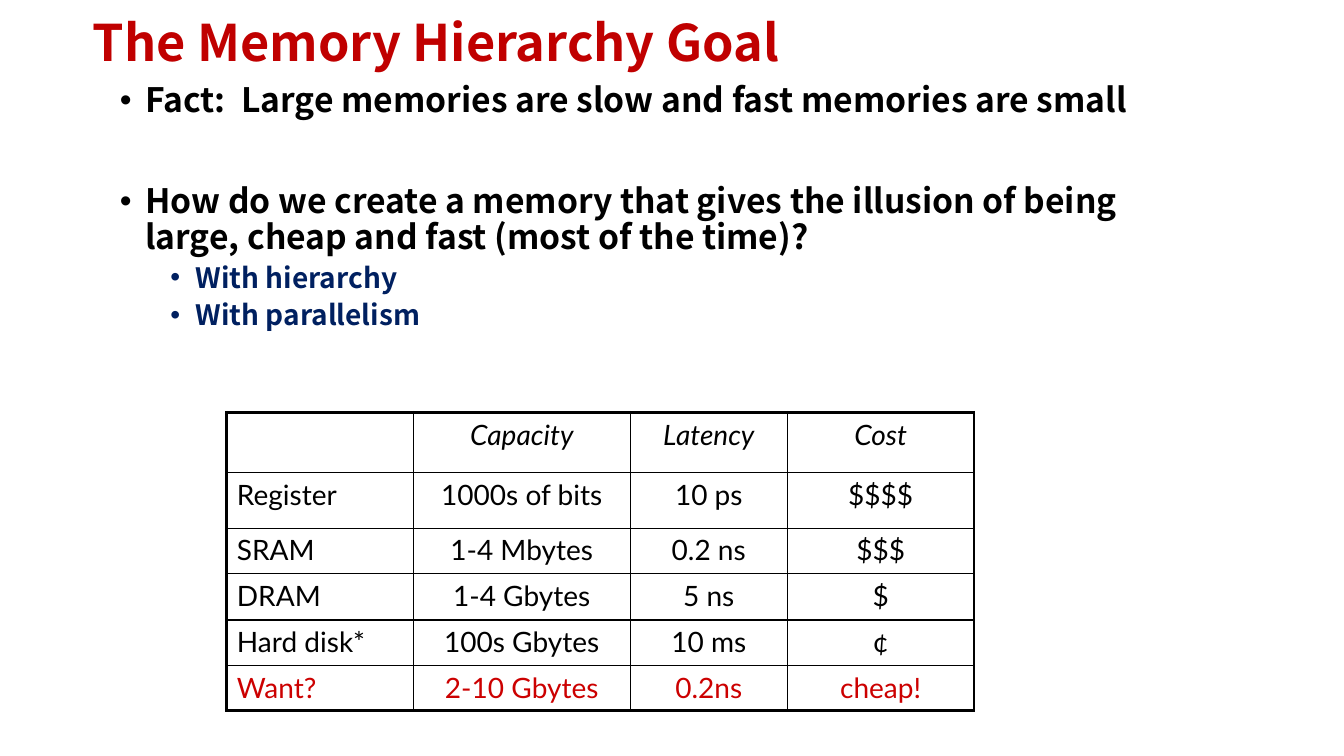
from typing import NamedTuple

from lxml.etree import SubElement
from pptx import Presentation
from pptx.dml.color import RGBColor
from pptx.enum.text import MSO_ANCHOR as Anchor, MSO_AUTO_SIZE as AutoSize, PP_ALIGN as Align
from pptx.oxml.ns import qn
from pptx.util import Inches, Pt

BLACK = RGBColor(0, 0, 0)
TITLE_RED = RGBColor(0xC0, 0, 0)
WANT_RED = RGBColor(0xCC, 0, 0)
NAVY = RGBColor(0, 0x20, 0x60)
HEADING_FONT = "Noto Sans CJK SC"
TABLE_FONT = "Lato"


class Bullet(NamedTuple):
    text: str
    level: int
    size: int
    color: RGBColor
    before: float


class Row(NamedTuple):
    height: float
    texts: tuple[str, str, str, str]
    color: RGBColor = BLACK
    italic: bool = False


BULLETS = [
    Bullet("Fact:  Large memories are slow and fast memories are small", 0, 24, BLACK, 0),
    Bullet("How do we create a memory that gives the illusion of being large, "
           "cheap and fast (most of the time)?", 0, 24, BLACK, 46),
    Bullet("With hierarchy", 1, 20, NAVY, 5),
    Bullet("With parallelism", 1, 20, NAVY, 5),
]
COLUMN_WIDTHS = [1.85, 2.15, 1.56, 1.85]
ROWS = [
    Row(0.6, ("", "Capacity", "Latency", "Cost"), italic=True),
    Row(0.55, ("Register", "1000s of bits", "10 ps", "$$$$")),
    Row(0.45, ("SRAM", "1-4 Mbytes", "0.2 ns", "$$$")),
    Row(0.46, ("DRAM", "1-4 Gbytes", "5 ns", "$")),
    Row(0.45, ("Hard disk*", "100s Gbytes", "10 ms", "¢")),
    Row(0.45, ("Want?", "2-10 Gbytes", "0.2ns", "cheap!"), color=WANT_RED),
]


def place(sp, left: float, top: float, width: float, height: float) -> None:
    sp.left, sp.top = Inches(left), Inches(top)
    sp.width, sp.height = Inches(width), Inches(height)
    sp.text_frame.auto_size = AutoSize.NONE
    sp.text_frame.word_wrap = True


def add_run(p, text: str, font: str, size: int, color: RGBColor,
            bold: bool = False, italic: bool = False) -> None:
    r = p.add_run()
    r.text = text
    r.font.name, r.font.size = font, Pt(size)
    r.font.bold, r.font.italic = bold, italic
    r.font.color.rgb = color


def add_title(sp) -> None:
    place(sp, 0.82, 0.12, 11.5, 0.66)
    tf = sp.text_frame
    tf.vertical_anchor = Anchor.MIDDLE
    p = tf.paragraphs[0]
    p.alignment, p.line_spacing = Align.LEFT, 0.9
    add_run(p, "The Memory Hierarchy Goal", HEADING_FONT, 36, TITLE_RED, bold=True)


def add_bullets(sp) -> None:
    place(sp, 1.09, 0.78, 11.02, 3.16)
    tf = sp.text_frame
    tf.vertical_anchor = Anchor.TOP
    for i, bullet in enumerate(BULLETS):
        p = tf.add_paragraph() if i else tf.paragraphs[0]
        p.level, p.line_spacing = bullet.level, 0.9
        p.space_before, p.space_after = Pt(bullet.before), Pt(0)
        pPr = p._p.get_or_add_pPr()
        pPr.set("marL", str(Inches(0.25 + 0.5 * bullet.level)))
        pPr.set("indent", str(Inches(-0.25)))
        SubElement(pPr, qn("a:buFont"), typeface="Arial")
        SubElement(pPr, qn("a:buChar"), char="•")
        add_run(p, bullet.text, HEADING_FONT, bullet.size, bullet.color, bold=True)


def set_borders(cell, row: int, col: int) -> None:
    tcPr = cell._tc.get_or_add_tcPr()
    outer_sides = {
        "L": col == 0,
        "R": col == len(COLUMN_WIDTHS) - 1,
        "T": row == 0,
        "B": row == len(ROWS) - 1,
    }
    for side, outer in outer_sides.items():
        ln = SubElement(tcPr, qn(f"a:ln{side}"), w=str(Pt(2.25 if outer else 1)))
        fill = SubElement(ln, qn("a:solidFill"))
        SubElement(fill, qn("a:srgbClr"), val=str(BLACK))


def add_memory_table(slide) -> None:
    frame = slide.shapes.add_table(
        len(ROWS), len(COLUMN_WIDTHS), Inches(2.25), Inches(4.09),
        Inches(sum(COLUMN_WIDTHS)), Inches(sum(row.height for row in ROWS)))
    table = frame.table
    table.first_row = table.horz_banding = False
    for col, width in enumerate(COLUMN_WIDTHS):
        table.columns[col].width = Inches(width)
    for i, row in enumerate(ROWS):
        table.rows[i].height = Inches(row.height)
        for j, text in enumerate(row.texts):
            cell = table.cell(i, j)
            set_borders(cell, i, j)
            cell.fill.background()
            if text:
                p = cell.text_frame.paragraphs[0]
                p.alignment = Align.CENTER if j else Align.LEFT
                add_run(p, text, TABLE_FONT, 20, row.color, italic=row.italic)


def main() -> None:
    prs = Presentation()
    prs.slide_width, prs.slide_height = Inches(13.33), Inches(7.5)
    slide = prs.slides.add_slide(prs.slide_layouts[1])
    add_title(slide.shapes.title)
    add_bullets(slide.placeholders[1])
    add_memory_table(slide)
    prs.save("out.pptx")


if __name__ == "__main__":
    main()
